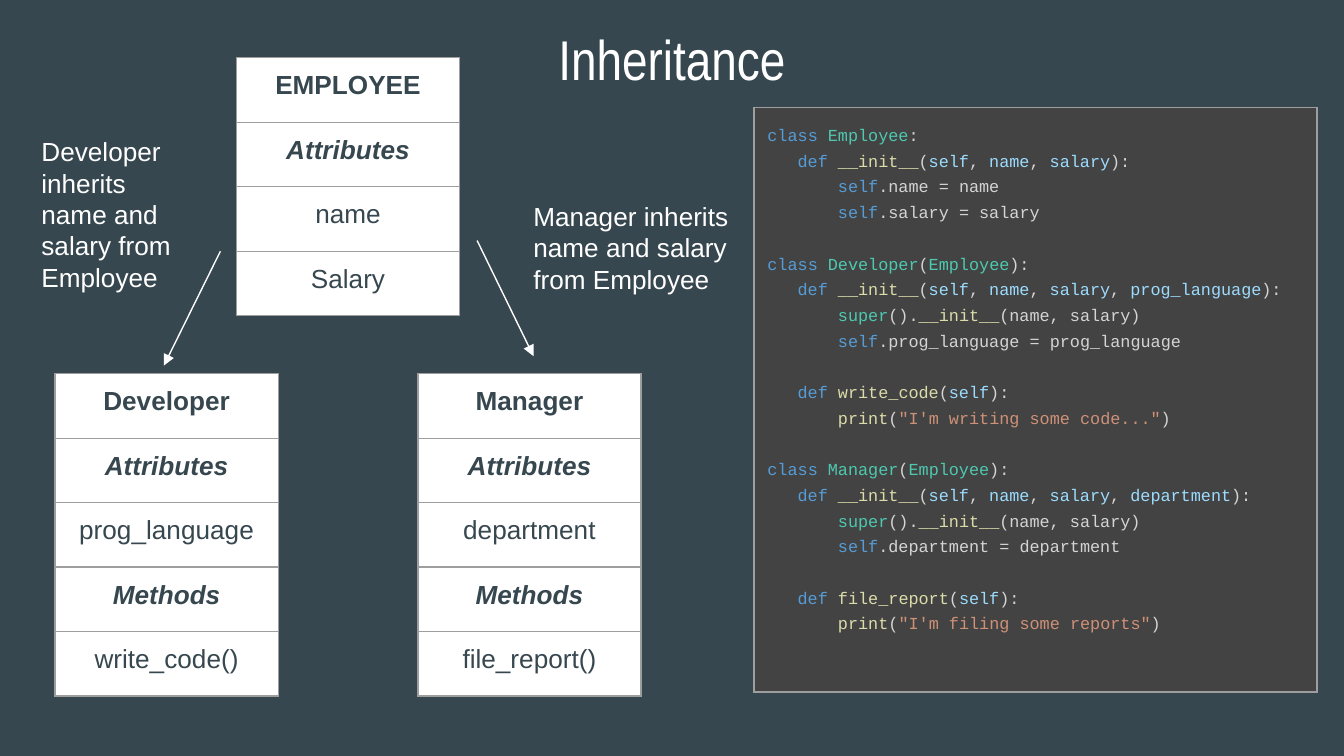
"""Build a slide that explains class inheritance with tables and code."""
import pptx
import pptx.dml.color
import pptx.enum.shapes
import pptx.enum.text
import pptx.oxml.ns
import pptx.util
from lxml import etree
from pptx.util import Inches

HUES = {
    "slate": "37474F", "white": "FFFFFF", "edge": "9E9E9E", "panel": "434343",
    "key": "569CD6", "type": "4EC9B0", "plain": "D4D4D4", "call": "DCDCAA",
    "arg": "9CDCFE", "quote": "CE9178",
}
ALIGN = pptx.enum.text.PP_ALIGN
CHAR = 5.4
LINE = 13.76


def paint(hue):
    return pptx.dml.color.RGBColor.from_string(HUES[hue])


def node(parent, tag, **attrs):
    return etree.SubElement(parent, pptx.oxml.ns.qn(tag), attrs)


def write(para, text, size=14, font="Arial", hue="white", bold=False, slant=False):
    run = para.add_run()
    run.text = text
    run.font.size = pptx.util.Pt(size)
    run.font.name = font
    run.font.bold = bold
    run.font.italic = slant
    run.font.color.rgb = paint(hue)


def kind(name, base=None):
    runs = [("class ", "key"), (name, "type")]
    if base:
        runs += [("(", "plain"), (base, "type"), ("):", "plain")]
    else:
        runs.append((":", "plain"))
    return 0, runs


def method(name, *args):
    runs = [("def ", "key"), (name, "call"), ("(", "plain")]
    for spot, arg in enumerate(args):
        if spot:
            runs.append((", ", "plain"))
        runs.append((arg, "arg"))
    return 3, runs + [("):", "plain")]


def store(field):
    return 7, [("self", "key"), (f".{field} = {field}", "plain")]


def parent():
    return 7, [("super", "type"), ("().", "plain"), ("__init__", "call"),
               ("(name, salary)", "plain")]


def output(text):
    return 7, [("print", "call"), ("(", "plain"), (f'"{text}"', "quote"), (")", "plain")]


def child(name, field, task, text):
    return [
        [kind(name, "Employee"),
         method("__init__", "self", "name", "salary", field),
         parent(), store(field)],
        [method(task, "self"), output(text)],
    ]


class Deck:
    """Hold the style and the current slide."""

    def __init__(self):
        self.file = pptx.Presentation()
        self.file.slide_width = Inches(10)
        self.file.slide_height = Inches(10) * 9 // 16
        self.slide = self.file.slides.add_slide(self.file.slide_layouts[6])
        self.slide.background.fill.solid()
        self.slide.background.fill.fore_color.rgb = paint("slate")
        self.pad = Inches(0.1)

    def inset(self, item):
        item.margin_left = item.margin_right = self.pad
        item.margin_top = item.margin_bottom = self.pad

    def label(self, text, left, top, width, height, align=ALIGN.LEFT, **style):
        box = self.slide.shapes.add_textbox(
            Inches(left), Inches(top), Inches(width), Inches(height))
        frame = box.text_frame
        frame.word_wrap = True
        self.inset(frame)
        frame.paragraphs[0].alignment = align
        write(frame.paragraphs[0], text, **style)

    def grid(self, left, top, width, row, count, fill):
        table = self.slide.shapes.add_table(
            count, 1, Inches(left), Inches(top),
            Inches(width), Inches(row * count)).table
        table.first_row = table.horz_banding = False
        for line in table.rows:
            line.height = Inches(row)
        cells = list(table.iter_cells())
        for cell in cells:
            self.inset(cell)
            cell.fill.solid()
            cell.fill.fore_color.rgb = paint(fill)
            self.border(cell)
        return cells

    def border(self, cell):
        props = cell._tc.get_or_add_tcPr()
        for spot, side in enumerate("LRTB"):
            line = node(props, f"a:ln{side}", w=str(pptx.util.Pt(0.75)))
            node(node(line, "a:solidFill"), "a:srgbClr", val=HUES["edge"])
            props.insert(spot, line)

    def card(self, left, top, rows):
        cells = self.grid(left, top, 1.66, 0.48, len(rows), "white")
        for spot, (cell, text) in enumerate(zip(cells, rows)):
            para = cell.text_frame.paragraphs[0]
            para.alignment = ALIGN.CENTER
            group = text in ("Attributes", "Methods")
            write(para, text, hue="slate", bold=group or spot == 0, slant=group)

    def code(self, left, top, width, height, blocks):
        frame = self.grid(left, top, width, height, 1, "panel")[0].text_frame
        para = frame.paragraphs[0]
        for part, block in enumerate(blocks):
            for spot, (indent, runs) in enumerate(block):
                if part or spot:
                    para = frame.add_paragraph()
                if part and not spot:
                    para.space_before = pptx.util.Pt(LINE)
                para.line_spacing = 1.35
                shift = pptx.util.Pt(indent * CHAR)
                para._p.get_or_add_pPr().set("marL", str(shift))
                for text, hue in runs:
                    write(para, text, size=9, font="Courier New", hue=hue)

    def arrow(self, *ends):
        line = self.slide.shapes.add_connector(
            pptx.enum.shapes.MSO_CONNECTOR.STRAIGHT, *map(Inches, ends))
        line.line.color.rgb = paint("white")
        line.line.width = pptx.util.Pt(0.75)
        node(line.line._get_or_add_ln(), "a:tailEnd", type="triangle")
        node(line._element.spPr, "a:effectLst")


def main():
    deck = Deck()
    deck.label("Inheritance", 0.34, 0.08, 9.32, 0.63, align=ALIGN.CENTER,
               size=30, font="Arial Narrow")
    deck.card(1.76, 0.43, ["EMPLOYEE", "Attributes", "name", "Salary"])
    for left, name, field, task in [
        (3.11, "Manager", "department", "file_report()"),
        (0.41, "Developer", "prog_language", "write_code()"),
    ]:
        deck.card(left, 2.78, [name, "Attributes", field, "Methods", task])
    deck.arrow(1.64, 1.87, 1.22, 2.72)
    deck.arrow(3.55, 1.79, 3.97, 2.65)
    for name, *place in [("Manager", 3.87, 1.39, 1.74, 0.86),
                         ("Developer", 0.21, 0.91, 1.3, 1.05)]:
        deck.label(f"{name} inherits name and salary from Employee", *place)
    base = [kind("Employee"), method("__init__", "self", "name", "salary"),
            store("name"), store("salary")]
    deck.code(5.61, 0.8, 4.19, 4.35, [
        base,
        *child("Developer", "prog_language", "write_code", "I'm writing some code..."),
        *child("Manager", "department", "file_report", "I'm filing some reports"),
    ])
    deck.file.save("out.pptx")


if __name__ == "__main__":
    main()
